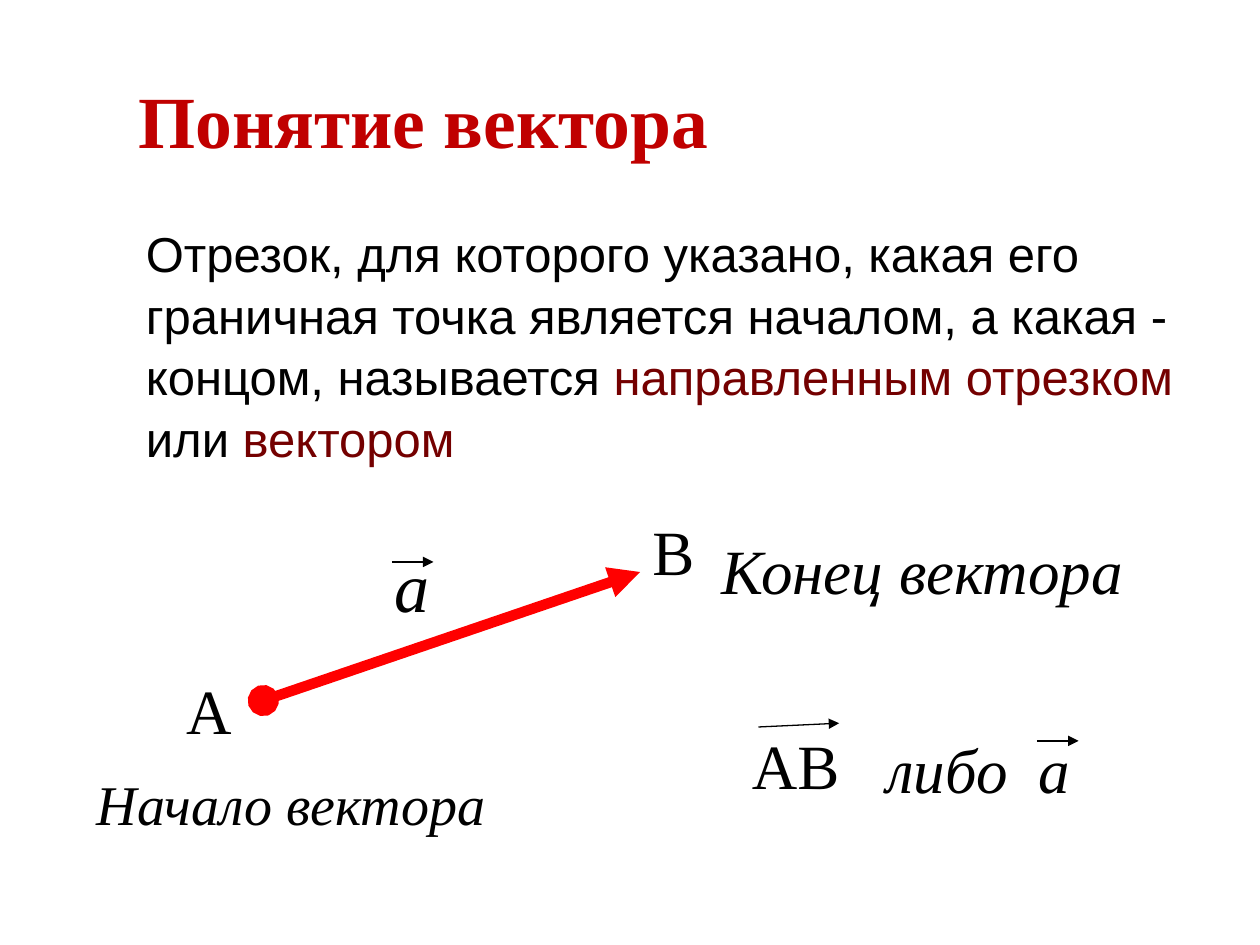
from lxml.etree import SubElement
from pptx import Presentation
from pptx.dml.color import RGBColor
from pptx.enum.shapes import MSO_CONNECTOR
from pptx.enum.text import MSO_ANCHOR
from pptx.oxml.ns import qn
from pptx.util import Inches, Pt

BLACK = RGBColor(0x00, 0x00, 0x00)
CRIMSON = RGBColor(0xC0, 0x00, 0x00)
MAROON = RGBColor(0x74, 0x00, 0x00)
RED = RGBColor(0xFF, 0x00, 0x00)
SERIF, SANS = "Times New Roman", "Arial"

deck = Presentation()
deck.slide_width, deck.slide_height = Inches(10), Inches(7.5)
page = deck.slides.add_slide(deck.slide_layouts[6])

# Grid of 100 columns by 75 rows
COL = deck.slide_width / 100
ROW = deck.slide_height / 75


def add_text(left, top, width, height, spans, size, font=SERIF,
             bold=False, italic=False, line_spacing=1.05):
    """Add a text box holding one paragraph of (text, colour) spans."""
    box = page.shapes.add_textbox(int(left * COL), int(top * ROW),
                                  int(width * COL), int(height * ROW))
    box.text_frame.word_wrap = True
    para = box.text_frame.paragraphs[0]
    para.line_spacing = line_spacing
    for text, colour in spans:
        span = para.add_run()
        span.text = text
        span.font.name, span.font.size = font, Pt(size)
        span.font.bold, span.font.italic = bold, italic
        span.font.color.rgb = colour
    return box


def add_arrow(start_x, start_y, end_x, end_y, colour, weight, head=None):
    """Add a straight arrow, optionally with a mark at its start."""
    arrow = page.shapes.add_connector(
        MSO_CONNECTOR.STRAIGHT, int(start_x * COL), int(start_y * ROW),
        int(end_x * COL), int(end_y * ROW))
    arrow.line.color.rgb = colour
    arrow.line.width = Pt(weight)
    properties = arrow.element.spPr
    outline = properties.find(qn("a:ln"))
    if head:
        SubElement(outline, qn("a:headEnd"), type=head)
    SubElement(outline, qn("a:tailEnd"), type="triangle")
    SubElement(properties, qn("a:effectLst"))


# Title
title = add_text(10, 3, 85, 12.5, [("Понятие вектора", CRIMSON)], 42, bold=True)
title.text_frame.vertical_anchor = MSO_ANCHOR.MIDDLE

# Definition
add_text(10.6, 17, 85, 49.5, [
    ("Отрезок, для которого указано, какая его граничная точка является "
     "началом, а какая - концом, называется ", BLACK),
    ("направленным отрезком ", MAROON),
    ("или ", BLACK),
    ("вектором", MAROON),
], 28, SANS)

# Vector from A to B
add_arrow(20.9, 55.6, 50.8, 45.4, RED, 6, head="oval")

# Labels: left, top, width, height, text, size, italic
for left, top, width, height, text, size, italic in [
    (13.8, 52.5, 6.3, 7, "A", 36, False),
    (50.8, 39.9, 6.3, 7, "B", 36, False),
    (58.7, 56.9, 9.4, 7, "AB", 36, False),
    (56.3, 41.4, 34.6, 7, "Конец вектора", 36, True),
    (6.7, 60.3, 34.6, 6.4, "Начало вектора", 32, True),
    (30.3, 42.2, 5.5, 7.7, "a", 40, True),
]:
    add_text(left, top, width, height, [(text, BLACK)], size, italic=italic)

# Alternative notation, with a tab stop under the small arrow
notation = add_text(68.1, 57.2, 25.2, 7, [("либо\tа", BLACK)], 36, italic=True)
notation.text_frame.margin_left = int(2.25 * COL)
para_format = notation.text_frame.paragraphs[0]._p.get_or_add_pPr()
tab_list = SubElement(para_format, qn("a:tabLst"))
SubElement(tab_list, qn("a:tab"), pos=str(int(12.1 * COL)), algn="l")

# Arrows above the vector names
add_arrow(60.2, 57.7, 66.6, 57.4, BLACK, 0.75)
for left, top in [(31.1, 44.6), (82.3, 58.8)]:
    add_arrow(left, top, left + 3.3, top, BLACK, 1.25)

deck.save("out.pptx")
